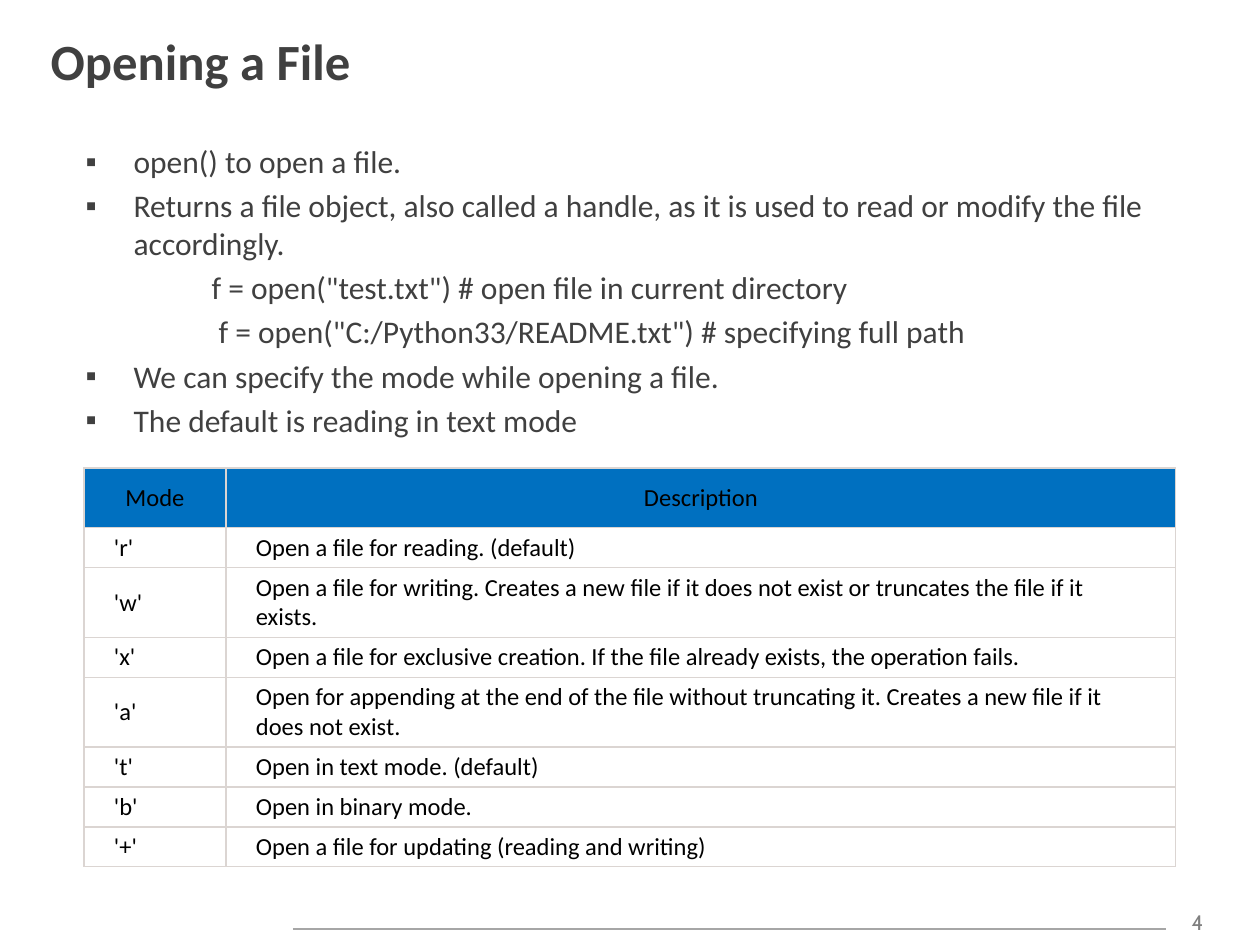
"""Build the slide on opening a file, with its table of modes."""
from pptx import Presentation, util as u
from pptx.dml.color import RGBColor
from pptx.enum import shapes, text
from pptx.oxml import parse_xml
from pptx.oxml.ns import nsdecls

SCALE = 914400 / 126
INK = RGBColor(0x40, 0x40, 0x40)
BLACK = RGBColor(0, 0, 0)
WHITE = RGBColor(0xFF, 0xFF, 0xFF)
BLUE = RGBColor(0x00, 0x70, 0xC0)
GREY = RGBColor(0x80, 0x80, 0x80)
RULE = RGBColor(0xA6, 0xA6, 0xA6)
EDGE = RGBColor(0xDB, 0xD5, 0xD2)


def px(num):
    return u.Emu(round(num * SCALE))


def write(para, words, size, color, bold=False, face="Calibri"):
    run = para.add_run()
    run.text = words
    run.font.name = face
    run.font.size = u.Pt(size)
    run.font.bold = bold
    run.font.color.rgb = color


deck = Presentation()
deck.slide_width, deck.slide_height = px(1260), px(945)
slide = deck.slides.add_slide(deck.slide_layouts[1])

title = slide.shapes.title
title.left, title.top, title.width, title.height = map(px, (38, 21, 1179, 79))
frame = title.text_frame
frame.auto_size = text.MSO_AUTO_SIZE.NONE
frame.vertical_anchor = text.MSO_ANCHOR.MIDDLE
para = frame.paragraphs[0]
para.alignment = text.PP_ALIGN.LEFT
write(para, "Opening a File", 29, INK, True)

body = slide.placeholders[1]
body.left, body.top, body.width, body.height = map(px, (73, 136, 1134, 315))
frame = body.text_frame
frame.auto_size = text.MSO_AUTO_SIZE.NONE
points = [
    ("▪", 48, "open() to open a file."),
    ("▪", 48, "Returns a file object, also called a handle, as it is used to "
     "read or modify the file accordingly."),
    ("", 126, 'f = open("test.txt") # open file in current directory'),
    ("", 133, 'f = open("C:/Python33/README.txt") # specifying full path'),
    ("▪", 48, "We can specify the mode while opening a file."),
    ("▪", 48, "The default is reading in text mode"),
]
for num, (mark, left, words) in enumerate(points):
    para = frame.paragraphs[0] if num == 0 else frame.add_paragraph()
    para.space_before = u.Pt(3.6)
    props = para._p.get_or_add_pPr()
    props.set("marL", str(px(left)))
    props.set("indent", str(-px(left) if mark else 0))
    tag = f'buChar {nsdecls("a")} char="{mark}"' if mark else f'buNone {nsdecls("a")}'
    props.append(parse_xml(f"<a:{tag}/>"))
    write(para, words, 18, INK)

rows = [
    ("Mode", "Description"),
    ("'r'", "Open a file for reading. (default)"),
    ("'w'", "Open a file for writing. Creates a new file if it does not exist "
     "or truncates the file if it exists."),
    ("'x'", "Open a file for exclusive creation. If the file already exists, "
     "the operation fails."),
    ("'a'", "Open for appending at the end of the file without truncating it. "
     "Creates a new file if it does not exist."),
    ("'t'", "Open in text mode. (default)"),
    ("'b'", "Open in binary mode."),
    ("'+'", "Open a file for updating (reading and writing)"),
]
highs = [59, 40, 69, 40, 69, 40, 40, 40]
grid = slide.shapes.add_table(
    len(rows), 2, px(84), px(468), px(1092), px(sum(highs))).table
grid.horz_banding = False
for col, wide in zip(grid.columns, (142, 950)):
    col.width = px(wide)
for y, (row, high) in enumerate(zip(rows, highs)):
    grid.rows[y].height = px(high)
    head = y == 0
    for x, words in enumerate(row):
        cell = grid.cell(y, x)
        cell.vertical_anchor = text.MSO_ANCHOR.MIDDLE
        cell.margin_left = cell.margin_right = px(10 if head else 30)
        cell.margin_top = cell.margin_bottom = px(15 if head else 5)
        cell.fill.solid()
        cell.fill.fore_color.rgb = BLUE if head else WHITE
        para = cell.text_frame.paragraphs[0]
        para.alignment = text.PP_ALIGN.CENTER if head else text.PP_ALIGN.LEFT
        write(para, words, 14, BLACK)
        props = cell._tc.get_or_add_tcPr()
        for at, side in enumerate("LRTB"):
            props.insert(at, parse_xml(
                f'<a:ln{side} {nsdecls("a")} w="{u.Pt(0.75)}"><a:solidFill>'
                f'<a:srgbClr val="{EDGE}"/></a:solidFill></a:ln{side}>'))

line = slide.shapes.add_connector(
    shapes.MSO_CONNECTOR.STRAIGHT, px(293), px(929), px(1166), px(929))
line.line.color.rgb = RULE
line.line.width = u.Pt(0.75)
line._element.spPr.append(parse_xml(f'<a:effectLst {nsdecls("a")}/>'))

page = slide.shapes.add_textbox(px(1166), px(903), px(63), px(38))
page.text_frame.word_wrap = True
para = page.text_frame.paragraphs[0]
para.alignment = text.PP_ALIGN.CENTER
write(para, "4", 12, GREY, face="Cabin")

deck.save("out.pptx")
